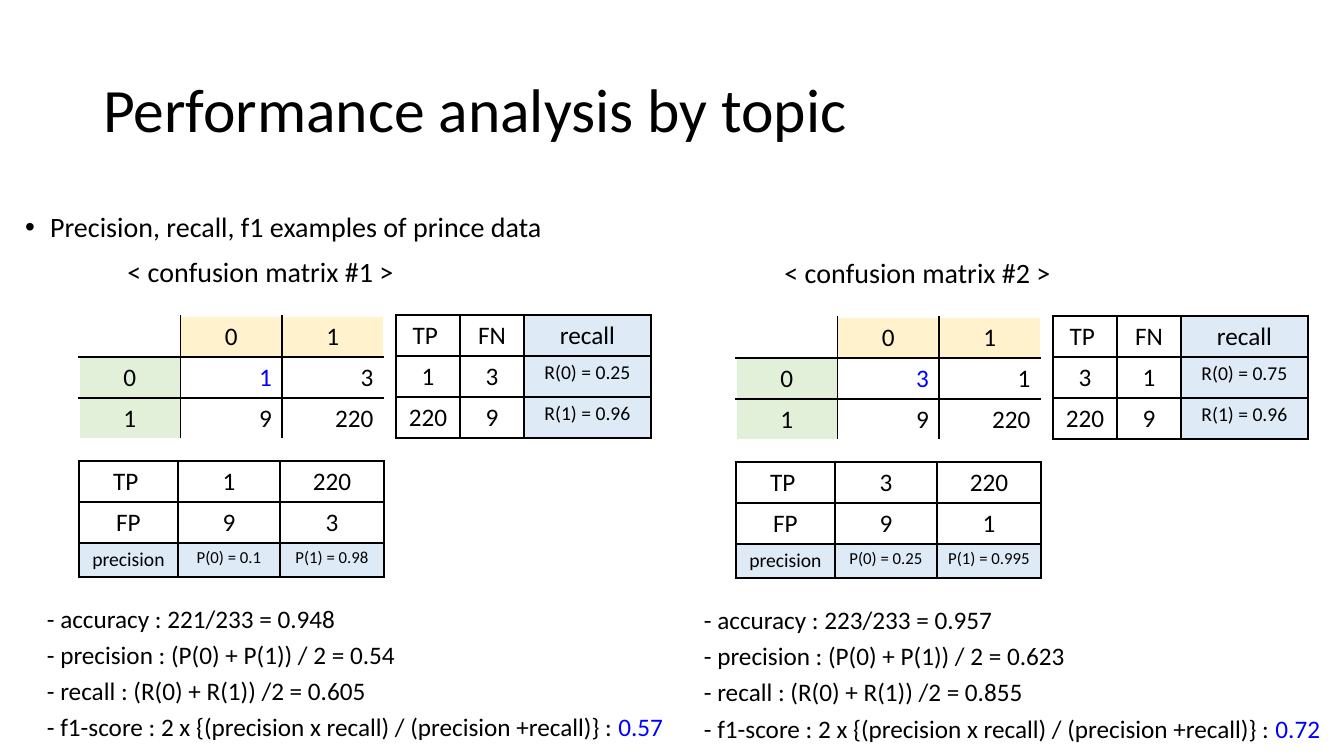
from dataclasses import dataclass

from lxml import etree
from pptx import Presentation
from pptx.dml.color import RGBColor
from pptx.enum.text import MSO_ANCHOR, MSO_AUTO_SIZE, PP_ALIGN
from pptx.oxml.ns import qn
from pptx.util import Emu, Pt

SCALE = 914400 / 100.8
FONT = "Calibri"
COLORS = {"black": "000000", "white": "FFFFFF", "blue": "0000FF",
          "predicted": "FFF2CC", "actual": "E2F0D9", "score": "DEEBF7"}
LEFT, CENTER, RIGHT = PP_ALIGN.LEFT, PP_ALIGN.CENTER, PP_ALIGN.RIGHT
TOP, MIDDLE = MSO_ANCHOR.TOP, MSO_ANCHOR.MIDDLE
NO_AUTOFIT = MSO_AUTO_SIZE.NONE
PANEL_STEP = (657, 1)


@dataclass
class Entry:
    """Text and look of one table cell."""
    text: str
    fill: str = ""
    size: int = 18
    align: PP_ALIGN = CENTER
    color: str = "black"


@dataclass
class Example:
    """One confusion matrix with the scores worked out from it."""
    number: int
    matrix: tuple
    recalls: tuple
    precisions: tuple
    accuracy: str
    precision: str
    recall: str
    f1_score: str


EXAMPLES = [
    Example(1, ((1, 3), (9, 220)), ("0.25", "0.96"), ("0.1", "0.98"),
            "221/233 = 0.948", "0.54", "0.605", "0.57"),
    Example(2, ((3, 1), (9, 220)), ("0.75", "0.96"), ("0.25", "0.995"),
            "223/233 = 0.957", "0.623", "0.855", "0.72"),
]


def px(length):
    """Turn pixels into EMU."""
    return Emu(round(length * SCALE))


def format_run(run, size, color="black"):
    """Set font, size and colour of a run."""
    run.font.name = FONT
    run.font.size = Pt(size)
    run.font.color.rgb = RGBColor.from_string(COLORS[color])


def write_text(shape, text, size, anchor=TOP, align=LEFT, spacing=1.0, before=0):
    """Fill a shape with one formatted paragraph and return the paragraph."""
    frame = shape.text_frame
    frame.text = text
    frame.word_wrap = True
    frame.auto_size = NO_AUTOFIT
    frame.vertical_anchor = anchor
    paragraph = frame.paragraphs[0]
    paragraph.alignment = align
    paragraph.line_spacing = spacing
    paragraph.space_before = Pt(before)
    for run in paragraph.runs:
        format_run(run, size)
    return paragraph


def place(shape, left, top, width, height):
    """Move and size a placeholder."""
    shape.left, shape.top = px(left), px(top)
    shape.width, shape.height = px(width), px(height)


def add_text(slide, box, text, size, **options):
    """Add a text box and return its paragraph."""
    shape = slide.shapes.add_textbox(*map(px, box))
    return write_text(shape, text, size, **options)


def set_bullet(paragraph, indent):
    """Give a paragraph a hanging round bullet."""
    properties = paragraph._p.get_or_add_pPr()
    properties.set("marL", str(px(indent)))
    properties.set("indent", str(-px(indent)))
    etree.SubElement(properties, qn("a:buFont"), typeface="Arial")
    etree.SubElement(properties, qn("a:buChar"), char="•")


def set_borders(cell, sides):
    """Draw the four cell borders, given as (tag, is_black) in schema order."""
    properties = cell._tc.get_or_add_tcPr()
    for position, (tag, is_black) in enumerate(sides):
        line = etree.Element(qn(tag), w=str(Pt(1.5 if is_black else 1)))
        solid = etree.SubElement(line, qn("a:solidFill"))
        color = COLORS["black" if is_black else "white"]
        etree.SubElement(solid, qn("a:srgbClr"), val=color)
        properties.insert(position, line)


def add_grid(slide, left, top, widths, heights, entries, framed=True):
    """Add a table with black inner lines and a black or white outer frame."""
    frame = slide.shapes.add_table(len(heights), len(widths), px(left), px(top),
                                   px(sum(widths)), px(sum(heights)))
    table = frame.table
    table.first_row = table.horz_banding = False
    for column, width in zip(table.columns, widths):
        column.width = px(width)
    for row, height in zip(table.rows, heights):
        row.height = px(height)
    last_row, last_column = len(heights) - 1, len(widths) - 1
    for i, row in enumerate(entries):
        for j, entry in enumerate(row):
            cell = table.cell(i, j)
            cell.text = entry.text
            paragraph = cell.text_frame.paragraphs[0]
            paragraph.alignment = entry.align
            for run in paragraph.runs:
                format_run(run, entry.size, entry.color)
            if entry.fill:
                cell.fill.solid()
                cell.fill.fore_color.rgb = RGBColor.from_string(COLORS[entry.fill])
            else:
                cell.fill.background()
            set_borders(cell, [("a:lnL", framed or j > 0),
                               ("a:lnR", framed or j < last_column),
                               ("a:lnT", framed or i > 0),
                               ("a:lnB", framed or i < last_row)])


def matrix_entries(example):
    """Lay out the confusion matrix with its class headings."""
    rows = [[Entry("")] + [Entry(label, "predicted") for label in "01"]]
    for label, counts in zip("01", example.matrix):
        rows.append([Entry(label, "actual")]
                    + [Entry(str(count), align=RIGHT) for count in counts])
    rows[1][1].color = "blue"
    return rows


def recall_entries(example):
    """Lay out true positives, false negatives and recall by class."""
    rows = [[Entry("TP "), Entry("FN"), Entry("recall", "score")]]
    for label, counts in enumerate(example.matrix):
        score = f"R({label}) = {example.recalls[label]}"
        rows.append([Entry(str(counts[label])), Entry(str(counts[1 - label])),
                     Entry(score, "score", 14)])
    return rows


def precision_entries(example):
    """Lay out true positives, false positives and precision by class."""
    rows = [[Entry("TP ")], [Entry("FP")], [Entry("precision", "score", 14)]]
    for label, counts in enumerate(zip(*example.matrix)):
        score = f"P({label}) = {example.precisions[label]}"
        rows[0].append(Entry(str(counts[label])))
        rows[1].append(Entry(str(counts[1 - label])))
        rows[2].append(Entry(score, "score", 12))
    return rows


def add_panel(slide, example, x, y):
    """Add heading, tables and summary of one example, shifted by x and y."""
    add_text(slide, (x + 93, y + 260, 335, 22),
             f"< confusion matrix #{example.number} >", 20,
             anchor=MIDDLE, align=CENTER)
    add_grid(slide, x + 79, y + 316, [101.5] * 3, [41] * 3,
             matrix_entries(example), framed=False)
    add_grid(slide, x + 79, y + 461, [99, 102, 104], [41, 41, 34],
             precision_entries(example))
    add_grid(slide, x + 396, y + 315, [64, 64, 127], [41] * 3,
             recall_entries(example))
    summary = "\v".join([
        f"- accuracy : {example.accuracy}",
        f"- precision : (P(0) + P(1)) / 2 = {example.precision}",
        f"- recall : (R(0) + R(1)) /2 = {example.recall}",
        "- f1-score : 2 x {(precision x recall) / (precision +recall)} : "])
    paragraph = add_text(slide, (x + 37, y + 592, 657, 164), summary, 18,
                         spacing=1.2, before=10)
    score = paragraph.add_run()
    score.text = example.f1_score + " "
    format_run(score, 18, "blue")


def main():
    """Build the slide and save it."""
    presentation = Presentation()
    presentation.slide_width, presentation.slide_height = px(1344), px(756)
    slide = presentation.slides.add_slide(presentation.slide_layouts[1])
    title, body = slide.placeholders
    place(title, 93, 40, 1159, 146)
    write_text(title, "Performance analysis by topic", 44, anchor=MIDDLE, spacing=0.9)
    place(body, 15, 198, 657, 480)
    topic = write_text(body, "Precision, recall, f1 examples of prince data", 20,
                       spacing=1.2, before=10)
    set_bullet(topic, 25)
    for index, example in enumerate(EXAMPLES):
        add_panel(slide, example, *(index * step for step in PANEL_STEP))
    presentation.save("out.pptx")


main()
